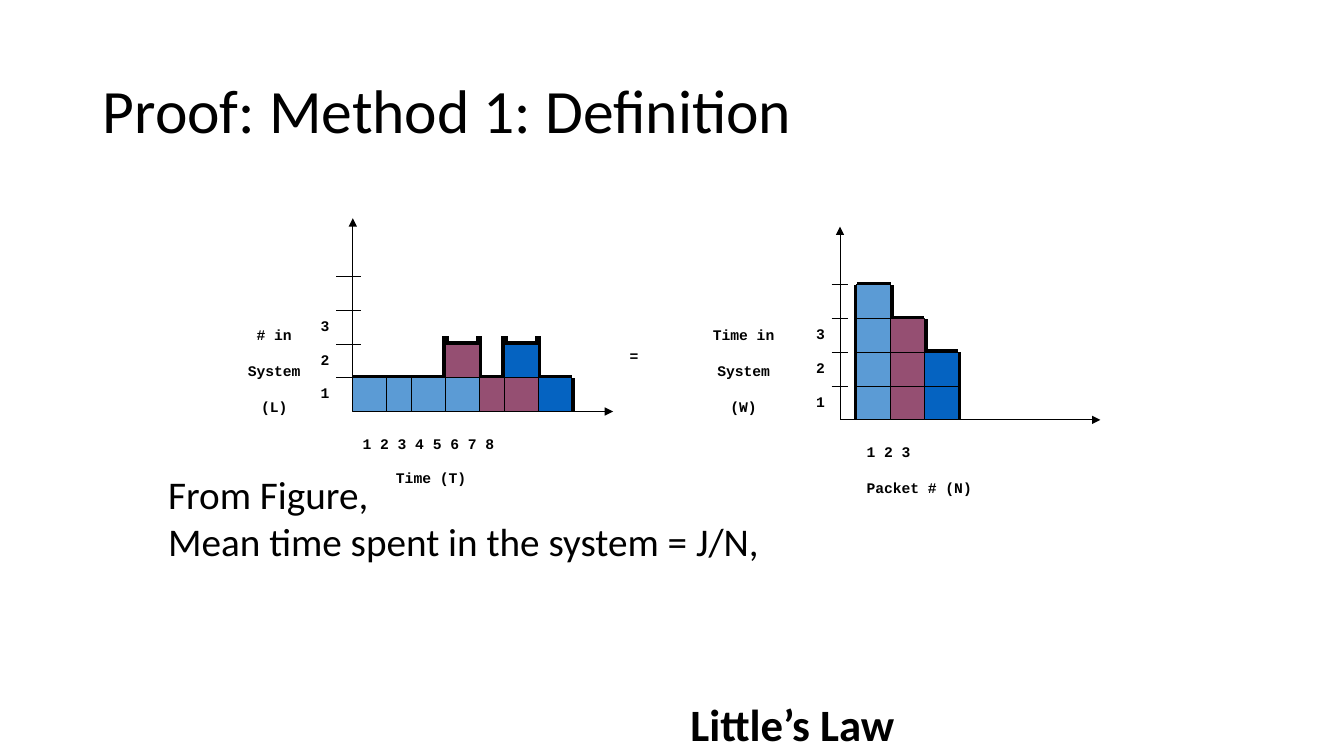
from dataclasses import dataclass

from lxml.etree import SubElement
from pptx import Presentation
from pptx.dml.color import RGBColor
from pptx.enum.shapes import MSO_CONNECTOR, MSO_SHAPE
from pptx.enum.text import MSO_ANCHOR, PP_ALIGN
from pptx.oxml.ns import qn
from pptx.util import Cm, Pt


@dataclass
class Theme:
    ink: RGBColor = RGBColor.from_string("000000")
    packet_1: RGBColor = RGBColor.from_string("5B9BD5")
    packet_2: RGBColor = RGBColor.from_string("954F72")
    packet_3: RGBColor = RGBColor.from_string("0563C1")
    body_font: str = "Calibri"
    label_font: str = "Courier New"
    title_size: float = 44
    law_size: float = 32
    body_size: float = 28
    label_size: float = 10.5
    label_gap: float = 13
    thin: float = 0.75
    thick: float = 4.5


theme = Theme()
presentation = Presentation()
presentation.slide_width = Cm(33.87)
presentation.slide_height = Cm(19.05)
slide = presentation.slides.add_slide(presentation.slide_layouts[6])


def add_text(text, left, top, width, height, size=theme.label_size,
             font=theme.label_font, bold=True, align=PP_ALIGN.LEFT,
             anchor=MSO_ANCHOR.TOP, gap=0, inset=0.13, spacing=None):
    box = slide.shapes.add_textbox(Cm(left), Cm(top), Cm(width), Cm(height))
    frame = box.text_frame
    frame.word_wrap = True
    frame.vertical_anchor = anchor
    frame.margin_top = Cm(inset)
    for index, line in enumerate(text.split("\n")):
        paragraph = frame.paragraphs[0] if index == 0 else frame.add_paragraph()
        paragraph.alignment = align
        if index:
            paragraph.space_before = Pt(gap)
        if spacing:
            paragraph.line_spacing = spacing
        run = paragraph.add_run()
        run.text = line
        run.font.size = Pt(size)
        run.font.name = font
        run.font.bold = bold
        run.font.color.rgb = theme.ink


def add_line(x1, y1, x2, y2, width=theme.thin, arrow=False):
    line = slide.shapes.add_connector(
        MSO_CONNECTOR.STRAIGHT, Cm(x1), Cm(y1), Cm(x2), Cm(y2))
    line.line.color.rgb = theme.ink
    line.line.width = Pt(width)
    if arrow:
        SubElement(line.line._get_or_add_ln(), qn("a:tailEnd"), type="triangle")
    SubElement(line._element.spPr, qn("a:effectLst"))


# Both figures: places in cm, outlines and cells in grid units from the origin
UNIT = 0.85
LABEL_INSET = 0.59
blue, plum, navy = theme.packet_1, theme.packet_2, theme.packet_3
figures = [
    dict(
        origin=(8.89, 10.37), ticks=[(-0.21, 0.21), (-0.42, 0)], value_left=-1.06,
        measure="# in\nSystem\n(L)", measure_box=(5.51, 2.8),
        scale="1 2 3 4 5 6 7 8", scale_left=0,
        axis="Time (T)", axis_offset=(0.84, 0.86),
        outline=[(0, 1, 2.75, 1), (2.75, 1, 2.75, 2.25), (3.75, 1, 3.75, 2.25),
                 (4.5, 1, 4.5, 2.25), (5.5, 1, 5.5, 2.25), (2.75, 2, 3.75, 2),
                 (4.5, 2, 5.5, 2), (5.5, 1, 6.5, 1), (3.5, 1, 4.5, 1),
                 (6.5, 0, 6.5, 1)],
        cells=[(0, 0, 1, blue), (1, 0, 0.75, blue), (1.75, 0, 1, blue),
               (2.75, 0, 1, blue), (2.75, 1, 1, plum), (3.75, 0, 0.75, plum),
               (4.5, 0, 1, plum), (4.5, 1, 1, navy), (5.5, 0, 1, navy)],
    ),
    dict(
        origin=(21.17, 10.58), ticks=[(-0.21, 0.21)], value_left=-0.85,
        measure="Time in\nSystem\n(W)", measure_box=(17.15, 3.18),
        scale="1 2 3", scale_left=0.42,
        axis="Packet # (N)", axis_offset=(0.42, 0.9),
        outline=[(0.5, 4, 1.5, 4), (1.5, 3, 2.5, 3), (2.5, 2, 3.5, 2),
                 (1.5, 0, 1.5, 4), (2.5, 0, 2.5, 3), (3.5, 0, 3.5, 2),
                 (0.5, 0, 0.5, 4)],
        cells=[(0.5 + column, row, 1, color)
               for column, (height, color) in enumerate([(4, blue), (3, plum), (2, navy)])
               for row in range(height)],
    ),
]

for figure in figures:
    x0, y0 = figure["origin"]

    # Axes, ticks and tick values
    add_line(x0, y0, x0 + 6.56, y0, arrow=True)
    add_line(x0, y0, x0, y0 - 4.87, arrow=True)
    for start, end in figure["ticks"]:
        for level in range(1, 5):
            y = y0 - level * UNIT
            add_line(x0 + start, y, x0 + end, y)
    for value in range(1, 4):
        add_text(str(value), x0 + figure["value_left"], y0 - (value + 0.5) * UNIT,
                 0.89, 1.02, inset=LABEL_INSET)

    # Axis wording
    measure_left, measure_width = figure["measure_box"]
    add_text(figure["measure"], measure_left, 7.62, measure_width, 2.54,
             align=PP_ALIGN.CENTER, gap=theme.label_gap, inset=LABEL_INSET)
    add_text(figure["scale"], x0 + figure["scale_left"], y0, 6.2, 1.02,
             inset=LABEL_INSET)
    axis_x, axis_y = figure["axis_offset"]
    add_text(figure["axis"], x0 + axis_x, y0 + axis_y, 5.05, 1.02, inset=LABEL_INSET)

    # Thick outline, then the packet cells over it
    for x1, y1, x2, y2 in figure["outline"]:
        add_line(x0 + x1 * UNIT, y0 - y1 * UNIT, x0 + x2 * UNIT, y0 - y2 * UNIT,
                 theme.thick)
    for column, row, width, color in figure["cells"]:
        cell = slide.shapes.add_shape(
            MSO_SHAPE.RECTANGLE, Cm(x0 + column * UNIT), Cm(y0 - (row + 1) * UNIT),
            Cm(width * UNIT), Cm(UNIT))
        cell.shadow.inherit = False
        cell.fill.solid()
        cell.fill.fore_color.rgb = color
        cell.line.color.rgb = theme.ink
        cell.line.width = Pt(theme.thin)

# Equality between the figures
add_text("=", 15.62, 8.14, 1.4, 1.27, inset=LABEL_INSET)

# Title and statements
add_text("Proof: Method 1: Definition", 2.34, 1.02, 29.21, 3.68, size=theme.title_size,
         font=theme.body_font, bold=False, anchor=MSO_ANCHOR.MIDDLE, spacing=0.9)
add_text("From Figure,\nMean time spent in the system = J/N,", 3.99, 11.71, 23.27, 2.64,
         size=theme.body_size, font=theme.body_font, bold=False)
add_text("Little’s Law", 17.15, 17.42, 13.23, 1.63, size=theme.law_size,
         font=theme.body_font)

presentation.save("out.pptx")
